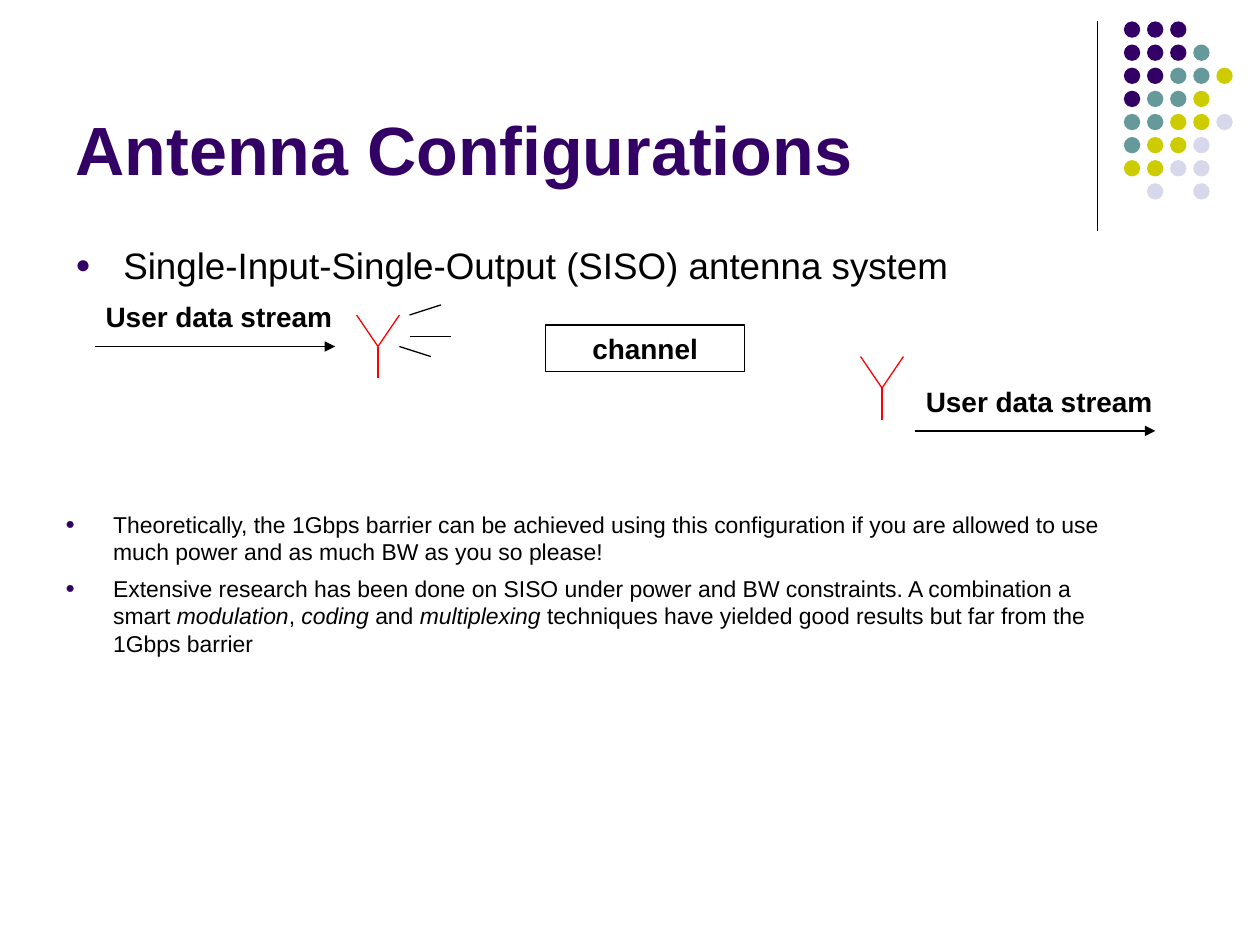
from dataclasses import dataclass

from lxml import etree
from pptx import Presentation, util as u
from pptx.dml import color
from pptx.enum import shapes, text
from pptx.oxml import ns

FONT = "Arial"
PURPLE, TEAL, OLIVE, LILAC = "330066", "669999", "CCCC00", "D8D8EC"
BLACK, RED = "000000", "FF0000"


@dataclass
class Run:
    text: str
    italic: bool = False


@dataclass
class Line:
    start: tuple[float, float]
    end: tuple[float, float]
    colour: str = BLACK
    arrow: bool = False


@dataclass
class TextBlock:
    box: tuple[float, float, float, float]
    paragraphs: list[list[Run]]
    size: float
    colour: str = BLACK
    bold: bool = False
    bullets: bool = False
    space_before: float = 0
    anchor: text.MSO_ANCHOR = text.MSO_ANCHOR.TOP
    alignment: text.PP_ALIGN = text.PP_ALIGN.LEFT
    outlined: bool = False


def rgb(value: str) -> color.RGBColor:
    return color.RGBColor.from_string(value)


def apply_format(target, values: dict) -> None:
    for name, value in values.items():
        setattr(target, name, value)


def add_element(parent, tag: str, **attributes: str):
    return etree.SubElement(parent, ns.qn(tag), attributes)


def add_line(slide, line: Line) -> None:
    ends = [u.Inches(value) for value in (*line.start, *line.end)]
    connector = slide.shapes.add_connector(shapes.MSO_CONNECTOR.STRAIGHT, *ends)
    connector.line.color.rgb = rgb(line.colour)
    connector.line.width = u.Pt(0.75)
    if line.arrow:
        add_element(connector.line._get_or_add_ln(), "a:tailEnd", type="triangle")
    add_element(connector._element.spPr, "a:effectLst")


def add_dot(slide, left: float, top: float, colour: str) -> None:
    box = [u.Inches(value) for value in (left, top, 0.13, 0.13)]
    dot = slide.shapes.add_shape(shapes.MSO_SHAPE.OVAL, *box)
    dot.shadow.inherit = False
    dot.fill.solid()
    dot.fill.fore_color.rgb = rgb(colour)
    dot.line.fill.background()


def add_bullet(paragraph) -> None:
    properties = paragraph._p.get_or_add_pPr()
    properties.set("marL", str(u.Inches(0.38)))
    properties.set("indent", str(u.Inches(-0.38)))
    add_element(add_element(properties, "a:buClr"), "a:srgbClr", val=PURPLE)
    add_element(properties, "a:buSzPct", val="70000")
    add_element(properties, "a:buFont", typeface=FONT)
    add_element(properties, "a:buChar", char="●")


def add_text(slide, block: TextBlock) -> None:
    box = [u.Inches(value) for value in block.box]
    if block.outlined:
        shape = slide.shapes.add_shape(shapes.MSO_SHAPE.RECTANGLE, *box)
        shape.shadow.inherit = False
        shape.fill.background()
        shape.line.color.rgb = rgb(BLACK)
        shape.line.width = u.Pt(0.75)
    else:
        shape = slide.shapes.add_textbox(*box)
    frame = shape.text_frame
    apply_format(frame, {"word_wrap": True, "vertical_anchor": block.anchor})
    for index, runs in enumerate(block.paragraphs):
        paragraph = frame.add_paragraph() if index else frame.paragraphs[0]
        apply_format(paragraph, {
            "alignment": block.alignment,
            "space_before": u.Pt(block.space_before),
        })
        if block.bullets:
            add_bullet(paragraph)
        for item in runs:
            run = paragraph.add_run()
            run.text = item.text
            apply_format(run.font, {
                "name": FONT, "size": u.Pt(block.size),
                "bold": block.bold, "italic": item.italic,
            })
            run.font.color.rgb = rgb(block.colour)


def add_antenna(slide, x: float, y: float) -> None:
    """Draw a Y whose arms meet at (x, y)."""
    for dx, dy in ((-0.17, -0.25), (0.17, -0.25), (0, 0.25)):
        add_line(slide, Line((x, y), (x + dx, y + dy), RED))


def add_data_stream(slide, left: float, arrow_y: float) -> None:
    """Draw a labelled arrow."""
    add_text(slide, TextBlock((left, arrow_y - 0.42, 2.17, 0.37),
                              [[Run("User data stream")]], 16, bold=True, space_before=10))
    add_line(slide, Line((left + 0.01, arrow_y), (left + 1.92, arrow_y), arrow=True))


def main() -> None:
    presentation = Presentation()
    apply_format(presentation, {"slide_width": u.Inches(10), "slide_height": u.Inches(7.5)})
    slide = presentation.slides.add_slide(presentation.slide_layouts[6])

    # Corner decoration: one letter per dot, a dot (.) for a gap
    add_line(slide, Line((8.71, 0.17), (8.71, 1.83)))
    colours = {"P": PURPLE, "T": TEAL, "O": OLIVE, "L": LILAC}
    pattern = ("PPP", "PPPT", "PPTTO", "PTTO", "TTOOL", "TOOL", "OOLL", ".L.L")
    pitch = 0.1835
    for row, letters in enumerate(pattern):
        for column, letter in enumerate(letters):
            if letter in colours:
                add_dot(slide, 8.92 + column * pitch, 0.17 + row * pitch, colours[letter])

    # Title and bullets
    add_text(slide, TextBlock((0.5, 0.13, 8.25, 1.42), [[Run("Antenna Configurations")]], 39,
                              PURPLE, bold=True, anchor=text.MSO_ANCHOR.BOTTOM))
    add_text(slide, TextBlock((0.5, 1.88, 8.58, 1.3),
                              [[Run("Single-Input-Single-Output (SISO) antenna system")]],
                              21, bullets=True, space_before=5.2))
    add_text(slide, TextBlock((0.42, 4, 8.58, 1.33), [
        [Run("Theoretically, the 1Gbps barrier can be achieved using this configuration "
             "if you are allowed to use much power and as much BW as you so please!")],
        [Run("Extensive research has been done on SISO under power and BW constraints. "
             "A combination a smart "),
         Run("modulation", True), Run(", "), Run("coding", True), Run(" and "),
         Run("multiplexing ", True),
         Run("techniques have yielded good results but far from the 1Gbps barrier")],
    ], 13.1, bullets=True, space_before=5.2))

    # Antennas and radiated waves
    add_antenna(slide, 3, 2.75)
    add_antenna(slide, 7, 3.08)
    for wave in (Line((3.25, 2.5), (3.5, 2.42)),
                 Line((3.25, 2.67), (3.58, 2.67)),
                 Line((3.17, 2.75), (3.42, 2.83))):
        add_line(slide, wave)

    # Channel and the streams on either side
    add_text(slide, TextBlock((4.33, 2.58, 1.58, 0.37), [[Run("channel")]], 16, bold=True,
                              space_before=10, alignment=text.PP_ALIGN.CENTER, outlined=True))
    add_data_stream(slide, 0.74, 2.75)
    add_data_stream(slide, 7.25, 3.42)

    presentation.save("out.pptx")


if __name__ == "__main__":
    main()
